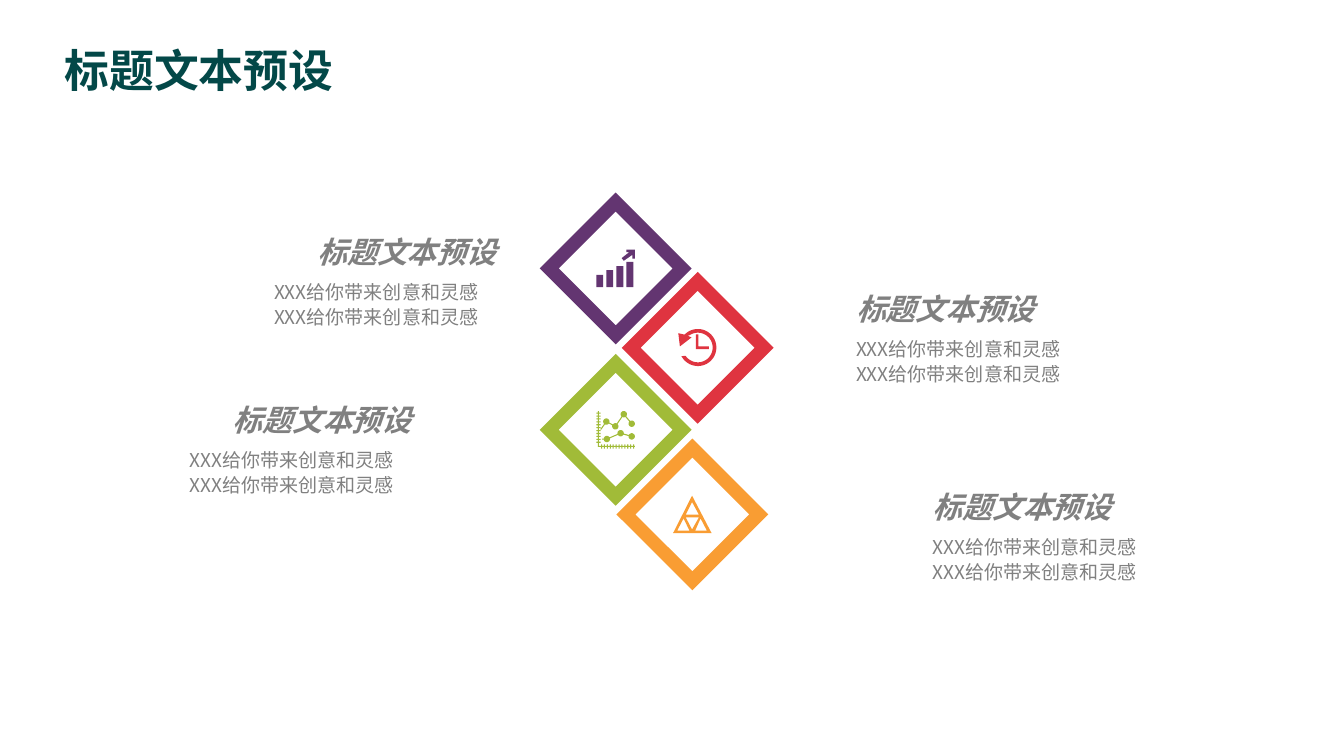
from math import cos, sin, radians, hypot
from lxml import etree
from pptx import Presentation
from pptx import util as u
from pptx.dml.color import RGBColor
from pptx.enum import shapes, text
from pptx.oxml.ns import qn

TEAL = RGBColor(0x03, 0x48, 0x48)
GRAY = RGBColor(0x80, 0x80, 0x80)
ORANGE = RGBColor(0xF9, 0x9D, 0x33)
GREEN = RGBColor(0xA1, 0xBB, 0x38)
RED = RGBColor(0xDF, 0x34, 0x40)
PURPLE = RGBColor(0x63, 0x35, 0x71)
CJK = "Noto Sans CJK SC"
HEADING = "标题文本预设"
BODY = "XXX给你带来创意和灵感"

prs = Presentation()
prs.slide_width, prs.slide_height = u.Cm(25.4), u.Cm(14.29)
s = prs.slides.add_slide(prs.slide_layouts[6])


def add_text(box, lines, size, color, font=CJK, bold=False, italic=False,
             align=text.PP_ALIGN.LEFT, spacing=1.0, wrap=False, inset=True):
    tf = s.shapes.add_textbox(*[u.Cm(v) for v in box]).text_frame
    tf.text = "\n".join(lines)
    tf.word_wrap = wrap
    if not inset:
        tf.margin_left = tf.margin_right = tf.margin_top = tf.margin_bottom = 0
        tf.vertical_anchor = text.MSO_ANCHOR.MIDDLE
    for p in tf.paragraphs:
        p.alignment, p.line_spacing = align, spacing
        for r in p.runs:
            r.font.size, r.font.name = u.Pt(size), font
            r.font.bold, r.font.italic = bold, italic
            r.font.color.rgb = color
            etree.SubElement(r.font._element, qn("a:ea")).set("typeface", CJK)


def rect(x, y, w, h):
    return [(x, y), (x + w, y), (x + w, y + h), (x, y + h)]


bars = [rect(0.19 * i, top, 0.13, 0.71 - top)
        for i, top in enumerate((0.48, 0.39, 0.31, 0.23))]
bars.append([(0.57, 0), (0.73, 0), (0.73, 0.17), (0.68, 0.17), (0.68, 0.1),
             (0.52, 0.21), (0.48, 0.16), (0.62, 0.05), (0.57, 0.05)])

outer = [(0.37 + 0.35 * cos(radians(a)), 0.35 + 0.35 * sin(radians(a)))
         for a in range(152, -140, -6)]
inner = [(0.37 + 0.28 * cos(radians(a)), 0.35 + 0.28 * sin(radians(a)))
         for a in range(-124, 150, 6)]
clock = [outer + [(0, 0.08), (0.03, 0.33), (0.25, 0.16), (0.18, 0.13)] + inner,
         [(0.33, 0.1), (0.38, 0.1), (0.38, 0.33),
          (0.58, 0.33), (0.58, 0.38), (0.33, 0.38)]]

triangles = [[(0.36, 0), (0, 0.71), (0.73, 0.71)],
             [(0.36, 0.12), (0.49, 0.36), (0.24, 0.36)],
             [(0.08, 0.66), (0.2, 0.43), (0.31, 0.66)],
             [(0.24, 0.41), (0.49, 0.41), (0.36, 0.64)],
             [(0.52, 0.43), (0.64, 0.66), (0.42, 0.66)]]

graph = [[(0.03, 0), (0.05, 0), (0.05, 0.66), (0.73, 0.66),
          (0.73, 0.68), (0.03, 0.68)]]
for i in range(11):
    y = 0.03 + 0.055 * i
    graph += [rect(0, y, 0.03, 0.02), rect(0.05, y, 0.03, 0.02)]
for i in range(12):
    x = 0.09 + 0.055 * i
    graph += [rect(x, 0.63, 0.02, 0.03), rect(x, 0.68, 0.02, 0.03)]
for line in ([(0.05, 0.4), (0.19, 0.2), (0.36, 0.29), (0.52, 0.06), (0.67, 0.24)],
             [(0.05, 0.53), (0.2, 0.53), (0.46, 0.42), (0.67, 0.48)]):
    for (x1, y1), (x2, y2) in zip(line, line[1:]):
        d = hypot(x2 - x1, y2 - y1)
        ux, uy = (x2 - x1) / d, (y2 - y1) / d
        ax, ay, bx, by = x1 + 0.06 * ux, y1 + 0.06 * uy, x2 - 0.06 * ux, y2 - 0.06 * uy
        nx, ny = -0.01 * uy, 0.01 * ux
        graph.append([(ax + nx, ay + ny), (bx + nx, by + ny),
                      (bx - nx, by - ny), (ax - nx, ay - ny)])
        graph.append([(x2 + 0.06 * cos(radians(a)), y2 + 0.06 * sin(radians(a)))
                      for a in range(0, 360, 20)])

diamonds = [(12.07, 8.71, ORANGE, triangles), (10.62, 7.11, GREEN, graph),
            (12.17, 5.56, RED, clock), (10.62, 4.06, PURPLE, bars)]

add_text((0.97, 0.69, 5.64, 1.27), [HEADING], 24, TEAL, bold=True)

drawn = []
for x, y, color, icon in diamonds:
    sp = s.shapes.add_shape(shapes.MSO_SHAPE.FRAME, u.Cm(x), u.Cm(y), u.Cm(2.03), u.Cm(2.03))
    sp.rotation = 45
    drawn.append((sp, color))
for x, y, color, icon in diamonds:
    b = None
    for contour in icon:
        pts = [(u.Cm(x + 0.65 + px), u.Cm(y + 0.66 + py)) for px, py in contour]
        if b is None:
            b = s.shapes.build_freeform(*pts[0])
        else:
            b.move_to(*pts[0])
        b.add_line_segments(pts[1:], close=True)
    drawn.append((b.convert_to_shape(), color))
for sp, color in drawn:
    sp.shadow.inherit = False
    sp.fill.solid()
    sp.fill.fore_color.rgb = color
    sp.line.fill.background()

for x, y, shift, align in [(17.63, 10.06, 0, text.PP_ALIGN.LEFT),
                           (3.58, 8.41, 1.16, text.PP_ALIGN.RIGHT),
                           (16.18, 6.32, 0, text.PP_ALIGN.LEFT),
                           (5.18, 5.23, 1.16, text.PP_ALIGN.RIGHT)]:
    add_text((x, y, 5.36, 0.99), [BODY] * 2, 10.2, GRAY, spacing=1.1, wrap=True, inset=False)
    add_text((x - shift, y - 0.8, 5.36, 0.64), [HEADING], 16, GRAY, font="Arial",
             bold=True, italic=True, align=align, inset=False)

prs.save("out.pptx")
